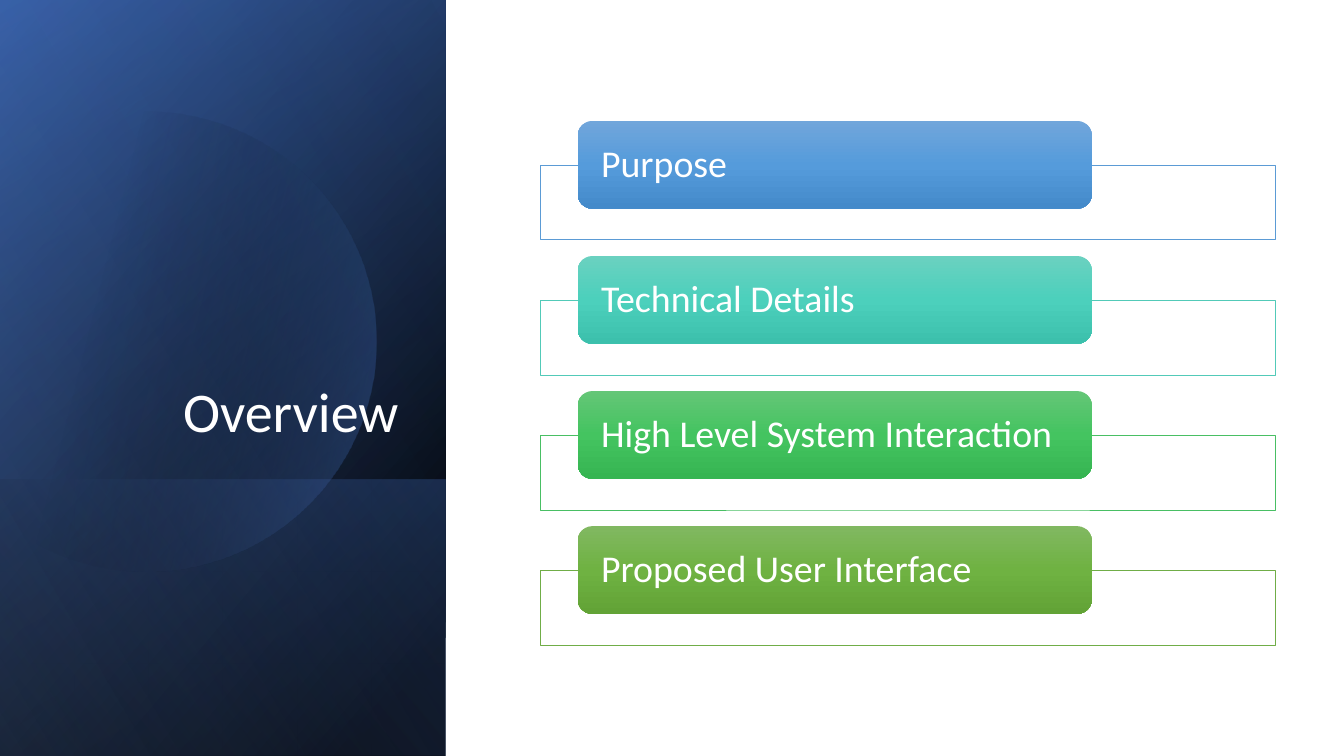
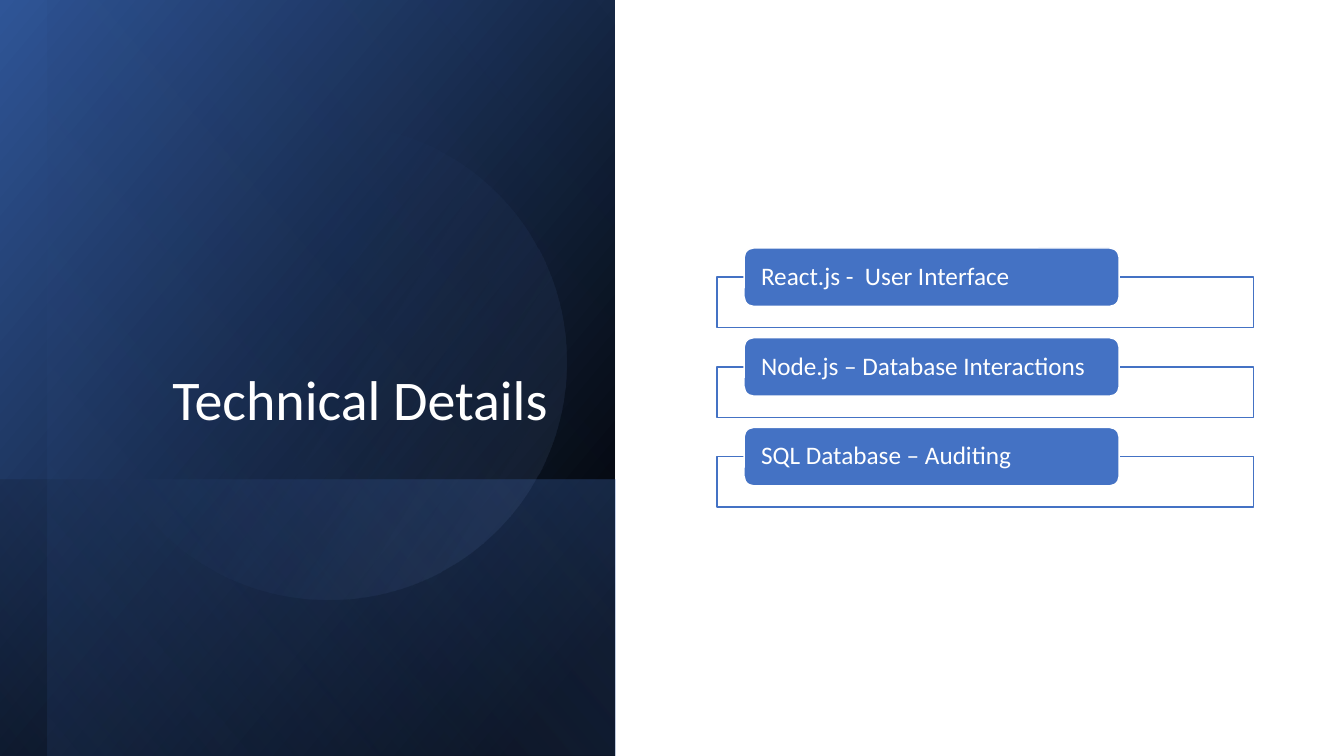
import math

from lxml import etree
from pptx import Presentation
from pptx import util as u
from pptx.dml import color as col
from pptx.enum import shapes, text
from pptx.oxml import ns

INK = {
    "white": "FFFFFF", "black": "000000", "navy": "2F5597",
    "blue": "4472C4", "pale": "8FAADC",
}
FONT = "Calibri"
TALL = 7.5
LOW = 4.76
KIND = shapes.MSO_SHAPE

BASE = [(8, INK["black"], 100), (100, INK["navy"], 100)]
FOOT = [(2, INK["blue"], 29), (100, INK["black"], 30)]

TOPICS = [
    ("Purpose", "5B9BD5", ("71A6DB", "559BDB", "448ACA")),
    ("Technical Details", "52CAB8", ("6AD1C0", "4CD0BC", "3CC0AC")),
    ("High Level System Interaction", "49BF64", ("64C677", "44C460", "36B552")),
    ("Proposed User Interface", "70AD47", ("81B861", "6FB242", "62A336")),
]
TOOLS = [
    "React.js -  User Interface",
    "Node.js – Database Interactions",
    "SQL Database – Auditing",
]


def rgb(hue):
    return col.RGBColor.from_string(hue)


def blend(shape, stops, angle):
    shape.fill.background()
    grad = etree.Element(ns.qn("a:gradFill"), rotWithShape="1")
    row = etree.SubElement(grad, ns.qn("a:gsLst"))
    for pos, hue, alpha in stops:
        stop = etree.SubElement(row, ns.qn("a:gs"), pos=str(pos * 1000))
        tone = etree.SubElement(stop, ns.qn("a:srgbClr"), val=hue)
        if alpha < 100:
            etree.SubElement(tone, ns.qn("a:alpha"), val=str(alpha * 1000))
    etree.SubElement(grad, ns.qn("a:lin"), ang=str(angle * 60000), scaled="0")
    props = shape.element.spPr
    props.replace(props.find(ns.qn("a:noFill")), grad)


def style(shape, fill=None, stops=None, angle=90, line=None, width=1):
    shape.shadow.inherit = False
    if stops:
        blend(shape, stops, angle)
    else:
        shape.fill.solid()
        shape.fill.fore_color.rgb = rgb(fill)
    if line:
        shape.line.color.rgb = rgb(line)
        shape.line.width = u.Pt(width)
    else:
        shape.line.fill.background()


def draw(slide, kind, box, **look):
    shape = slide.shapes.add_shape(kind, *map(u.Inches, box))
    style(shape, **look)
    return shape


def write(shape, words, size, align, anchor, pad=(0.1, 0.05)):
    frame = shape.text_frame
    frame.word_wrap = True
    frame.vertical_anchor = anchor
    frame.margin_left = frame.margin_right = u.Inches(pad[0])
    frame.margin_top = frame.margin_bottom = u.Inches(pad[1])
    para = frame.paragraphs[0]
    para.alignment = align
    para.line_spacing = 0.9
    run = para.add_run()
    run.text = words
    run.font.name = FONT
    run.font.size = u.Pt(size)
    run.font.color.rgb = rgb(INK["white"])


def band(slide, x, y, wide, high, stops, angle):
    box = (x + (wide - high) / 2, y + (high - wide) / 2, high, wide)
    shape = draw(slide, KIND.RECTANGLE, box, stops=stops, angle=angle)
    shape.rotation = 90
    shape.element.spPr.find(ns.qn("a:xfrm")).set("flipH", "1")


def disc(slide, x, y, radius, stops, angle):
    edge = math.acos(-x / radius)
    steps = 120
    turns = [edge * (2 * i / steps - 1) for i in range(steps + 1)]
    dots = [(u.Inches(x + radius * math.cos(t)),
             u.Inches(y + radius * math.sin(t))) for t in turns]
    path = slide.shapes.build_freeform(*dots[0])
    path.add_line_segments(dots[1:], close=True)
    style(path.convert_to_shape(), stops=stops, angle=angle)


def title(slide, words, box):
    shape = slide.shapes.add_textbox(*map(u.Inches, box))
    write(shape, words, 40, text.PP_ALIGN.RIGHT, text.MSO_ANCHOR.BOTTOM)


def item(slide, words, frame, pill, size, pad, edge, width, **look):
    draw(slide, KIND.RECTANGLE, frame, fill=INK["white"], line=edge, width=width)
    shape = draw(slide, KIND.ROUNDED_RECTANGLE, pill, **look)
    write(shape, words, size, text.PP_ALIGN.LEFT, text.MSO_ANCHOR.MIDDLE, (pad, 0))


def overview(slide):
    wide = 4.42
    band(slide, 0, 0, wide, TALL, BASE, 50)
    band(slide, 0, 0, wide, TALL,
         [(0, INK["black"], 0), (99, INK["blue"], 46)], 30)
    band(slide, 0, LOW, wide, TALL - LOW, FOOT, 130)
    disc(slide, 1.45, 3.39, 2.28,
         [(29, INK["black"], 0), (100, INK["blue"], 43)], 14)
    band(slide, 0, 0, wide, TALL,
         [(0, INK["black"], 0), (99, INK["pale"], 11)], 120)
    title(slide, "Overview", (0.64, 1.84, 3.41, 2.62))
    for i, (words, edge, hues) in enumerate(TOPICS):
        y = 1.2 + 1.34 * i
        stops = [(50 * k, hue, 100) for k, hue in enumerate(hues)]
        item(slide, words, (5.36, y + 0.44, 7.29, 0.74), (5.73, y, 5.1, 0.87),
             27, 0.19, edge, 0.5, stops=stops)


def details(slide):
    wide = 6.1
    band(slide, 0, 0, wide, TALL, BASE, 50)
    band(slide, 0, LOW, wide, TALL - LOW, FOOT, 130)
    band(slide, 0.47, 0, wide - 0.47, TALL,
         [(0, INK["black"], 0), (99, INK["blue"], 11)], 130)
    ring = draw(slide, KIND.OVAL, (0.9, 1.23, 4.72, 4.72), angle=290,
                stops=[(39, INK["blue"], 0), (100, INK["pale"], 15)])
    ring.rotation = 101.6
    title(slide, "Technical Details", (0.9, 0.64, 4.63, 3.7))
    for i, words in enumerate(TOOLS):
        y = 2.46 + 0.89 * i
        item(slide, words, (7.11, y + 0.29, 5.32, 0.5), (7.38, y, 3.72, 0.58),
             18, 0.14, INK["blue"], 1, fill=INK["blue"], line=INK["white"])


def main():
    deck = Presentation()
    deck.slide_width = u.Inches(13.33)
    deck.slide_height = u.Inches(TALL)
    for build in (overview, details):
        build(deck.slides.add_slide(deck.slide_layouts[6]))
    deck.save("out.pptx")


if __name__ == "__main__":
    main()
